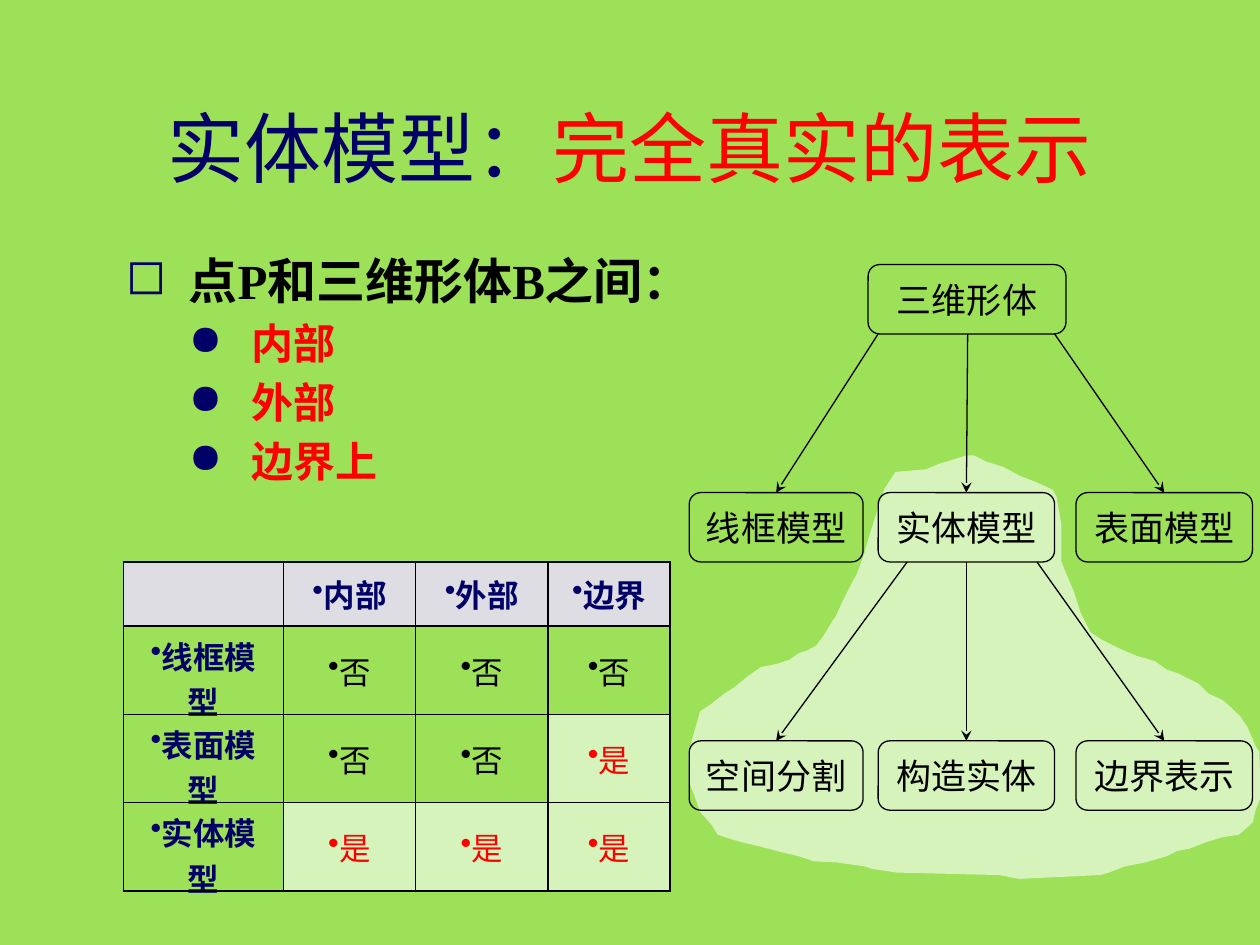
"""Build the slide on solid models: title, list, table and model tree."""
from dataclasses import dataclass

from lxml.etree import SubElement
from pptx import Presentation
from pptx.dml.color import RGBColor
from pptx.enum.shapes import MSO_CONNECTOR, MSO_SHAPE
from pptx.enum.text import MSO_ANCHOR, PP_ALIGN
from pptx.oxml.ns import qn
from pptx.util import Inches, Pt


@dataclass(frozen=True)
class Theme:
    font: str = "Times New Roman"
    back: str = "9CE157"
    pale: str = "D7F3BC"
    head: str = "DDDDE3"
    navy: str = "000066"
    red: str = "FF0000"
    black: str = "000000"
    title: int = 44
    lead: int = 28
    item: int = 24
    node: int = 20
    cell: int = 18
    line: float = 0.75
    rule: float = 1


T = Theme()
WIDE, HIGH = 10, 7.5

TITLE = [("实体模型：", T.navy), ("完全真实的表示", T.red)]
POINTS = [
    ("点P和三维形体B之间：", 0),
    ("内部", 1),
    ("外部", 1),
    ("边界上", 1),
]
TABLE = [
    ["", "内部", "外部", "边界"],
    ["线框模型", "否", "否", "否"],
    ["表面模型", "否", "否", "是"],
    ["实体模型", "是", "是", "是"],
]
COLS = [1.27, 1.05, 1.05, 0.97]
ROW = 0.51

ROOT = "三维形体"
TREE = [
    ["线框模型", "实体模型", "表面模型"],
    ["空间分割", "构造实体", "边界表示"],
]
SLOTS = [(5.47, 1.38), (6.97, 1.4), (8.54, 1.4)]
LEVELS = [2.1, 3.91, 5.88]
BOX = 0.55
STARTS = [[6.97, 7.68, 8.37], [7.2, 7.67, 8.23]]

CLOUD = [
    (7.67, 3.62), (7.51, 3.67), (7.47, 3.68), (7.35, 3.73), (7.11, 3.75),
    (7.02, 3.89), (6.9, 4.27), (6.86, 4.41), (6.8, 4.57), (6.77, 4.62),
    (6.69, 4.78), (6.64, 4.89), (6.6, 4.95), (6.54, 5.05), (6.48, 5.13),
    (6.4, 5.17), (6.34, 5.19), (6.27, 5.24), (6.18, 5.27), (6.04, 5.3),
    (5.94, 5.37), (5.83, 5.46), (5.75, 5.51), (5.65, 5.59), (5.56, 5.65),
    (5.53, 5.76), (5.5, 5.86), (5.47, 6), (5.48, 6.22), (5.53, 6.35),
    (5.56, 6.44), (5.65, 6.54), (5.7, 6.62), (5.79, 6.65), (5.89, 6.68),
    (6.02, 6.71), (6.21, 6.76), (6.34, 6.79), (6.46, 6.83), (6.64, 6.84),
    (6.86, 6.87), (6.92, 6.89), (7.12, 6.92), (7.93, 6.94), (8.09, 6.97),
    (8.73, 6.94), (8.8, 6.92), (8.93, 6.87), (9.09, 6.84), (9.26, 6.79),
    (9.34, 6.75), (9.44, 6.73), (9.57, 6.68), (9.7, 6.64), (9.83, 6.62),
    (9.9, 6.56), (9.94, 6.52), (9.96, 6.43), (10, 6.33), (9.99, 5.97),
    (9.96, 5.92), (9.9, 5.78), (9.84, 5.69), (9.77, 5.62), (9.7, 5.56),
    (9.59, 5.51), (9.51, 5.43), (9.35, 5.35), (9.26, 5.32), (9.16, 5.25),
    (9.02, 5.21), (8.9, 5.16), (8.74, 5.08), (8.65, 5.02), (8.57, 4.86),
    (8.52, 4.7), (8.44, 4.51), (8.42, 4.46), (8.42, 4.17), (8.38, 3.94),
    (8.35, 3.89), (8.22, 3.83), (8.09, 3.78), (7.96, 3.71), (7.83, 3.67),
    (7.73, 3.62),
]


def tint(code):
    return RGBColor.from_string(code)


def write(para, text, size, color, bold=False):
    run = para.add_run()
    run.text = text
    font = run.font
    font.name, font.size, font.bold = T.font, Pt(size), bold
    font.color.rgb = tint(color)


def bullet(para, mark, left=0, hang=0, color=None):
    props = para._p.get_or_add_pPr()
    props.set("marL", str(Inches(left)))
    props.set("indent", str(-Inches(hang)))
    if color:
        SubElement(SubElement(props, qn("a:buClr")), qn("a:srgbClr"), val=color)
    SubElement(props, qn("a:buChar"), char=mark)


def border(cell):
    props = cell._tc.get_or_add_tcPr()
    for side in "LRTB":
        edge = SubElement(props, qn(f"a:ln{side}"), w=str(Pt(T.rule)))
        fill = SubElement(edge, qn("a:solidFill"))
        SubElement(fill, qn("a:srgbClr"), val=T.black)


def add_cloud(slide):
    first, *rest = [(Inches(x), Inches(y)) for x, y in CLOUD]
    pen = slide.shapes.build_freeform(*first)
    pen.add_line_segments(rest, close=True)
    cloud = pen.convert_to_shape()
    cloud.shadow.inherit = False
    cloud.fill.solid()
    cloud.fill.fore_color.rgb = tint(T.pale)
    cloud.line.color.rgb = tint(T.pale)
    cloud.line.width = Pt(T.line)


def add_title(slide):
    title = slide.shapes.title
    title.left, title.top = Inches(WIDE * 0.075), Inches(HIGH * 0.1)
    title.width, title.height = Inches(WIDE * 0.85), Inches(HIGH * 0.11)
    title.text_frame.vertical_anchor = MSO_ANCHOR.MIDDLE
    para = title.text_frame.paragraphs[0]
    para.alignment = PP_ALIGN.CENTER
    for text, color in TITLE:
        write(para, text, T.title, color)


def add_points(slide):
    box = slide.shapes.add_textbox(Inches(0.9), Inches(1.94), Inches(4.49), Inches(2.03))
    frame = box.text_frame
    frame.word_wrap = True
    styles = [("◻", T.lead, T.black), ("●", T.item, T.red)]
    for i, (text, level) in enumerate(POINTS):
        para = frame.add_paragraph() if i else frame.paragraphs[0]
        mark, size, color = styles[level]
        para.level = level
        bullet(para, mark, 0.5 * (level + 1), 0.5, T.navy)
        if i:
            para.space_before = Pt(size * 0.2)
        write(para, text, size, color, True)


def add_grid(slide):
    frame = slide.shapes.add_table(
        len(TABLE), len(COLS), Inches(0.98), Inches(4.46),
        Inches(sum(COLS)), Inches(ROW * len(TABLE)))
    table = frame.table
    table.first_row = table.horz_banding = False
    for col, width in zip(table.columns, COLS):
        col.width = Inches(width)
    for r, row in enumerate(TABLE):
        for c, text in enumerate(row):
            cell = table.cell(r, c)
            border(cell)
            cell.vertical_anchor = MSO_ANCHOR.MIDDLE
            fill = T.head if r == 0 else T.pale if text == "是" else None
            if fill:
                cell.fill.solid()
                cell.fill.fore_color.rgb = tint(fill)
            else:
                cell.fill.background()
            if text:
                label = r == 0 or c == 0
                color = T.navy if label else T.red if text == "是" else T.black
                para = cell.text_frame.paragraphs[0]
                para.alignment = PP_ALIGN.CENTER
                bullet(para, "•")
                write(para, text, T.cell, color, label)


def add_node(slide, text, left, top, width):
    node = slide.shapes.add_shape(
        MSO_SHAPE.ROUNDED_RECTANGLE, Inches(left), Inches(top), Inches(width), Inches(BOX))
    node.shadow.inherit = False
    node.fill.background()
    node.line.color.rgb = tint(T.black)
    node.line.width = Pt(T.line)
    node.text_frame.vertical_anchor = MSO_ANCHOR.MIDDLE
    para = node.text_frame.paragraphs[0]
    para.alignment = PP_ALIGN.CENTER
    write(para, text, T.node, T.black)
    return node


def add_arrow(slide, x, y, node):
    arrow = slide.shapes.add_connector(
        MSO_CONNECTOR.STRAIGHT, Inches(x), Inches(y), node.left, node.top)
    arrow.end_connect(node, 0)
    arrow.line.color.rgb = tint(T.black)
    arrow.line.width = Pt(T.line)
    SubElement(arrow.line._get_or_add_ln(), qn("a:tailEnd"), type="stealth")
    SubElement(arrow._element.spPr, qn("a:effectLst"))


def add_tree(slide):
    add_node(slide, ROOT, 6.89, LEVELS[0], 1.57)
    for names, above, top, starts in zip(TREE, LEVELS, LEVELS[1:], STARTS):
        for name, (left, width), x in zip(names, SLOTS, starts):
            node = add_node(slide, name, left, top, width)
            add_arrow(slide, x, above + BOX, node)


def main():
    deck = Presentation()
    deck.slide_width, deck.slide_height = Inches(WIDE), Inches(HIGH)
    slide = deck.slides.add_slide(deck.slide_layouts[5])
    slide.background.fill.solid()
    slide.background.fill.fore_color.rgb = tint(T.back)
    for step in (add_cloud, add_title, add_points, add_grid, add_tree):
        step(slide)
    deck.save("out.pptx")


if __name__ == "__main__":
    main()
